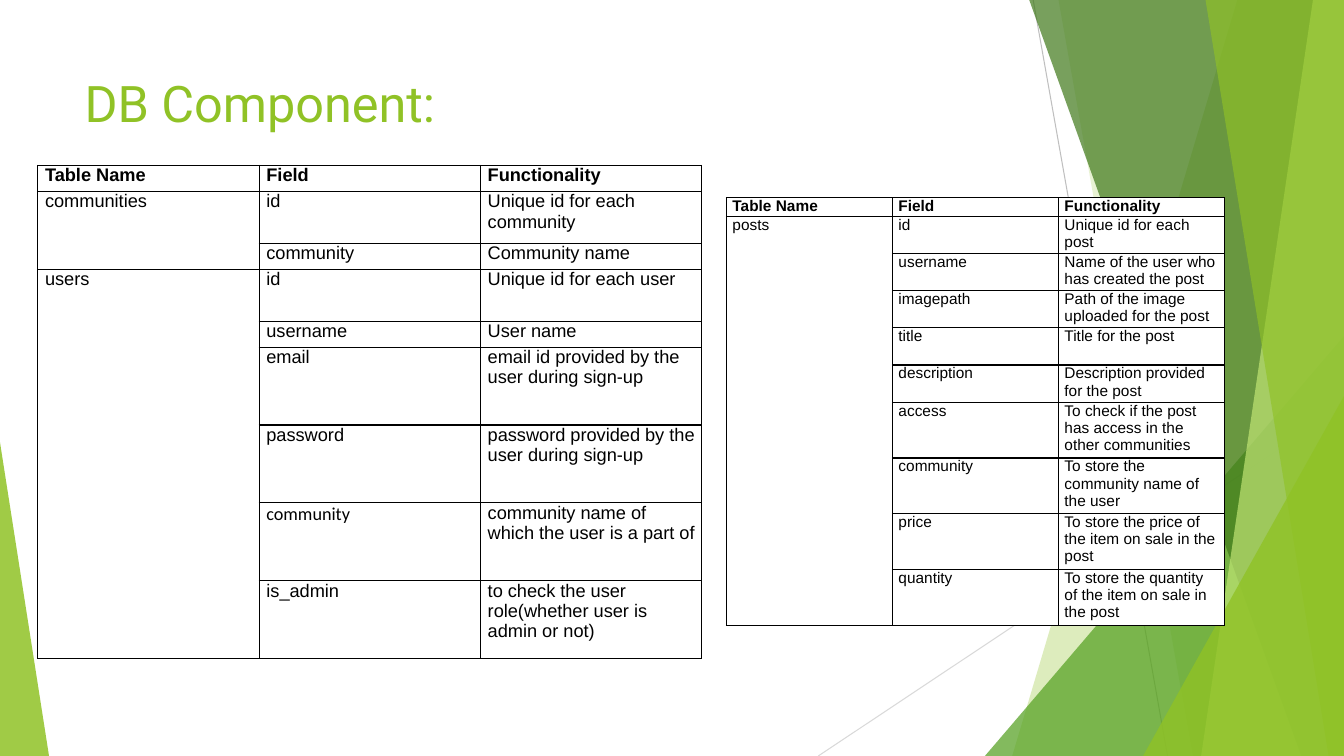
"""Build the DB Component slide with its two database schema tables."""
import pptx
import pptx.dml.color
import pptx.enum.shapes
import pptx.enum.text
import pptx.oxml
import pptx.oxml.ns
import pptx.util

Pt = pptx.util.Pt
qn = pptx.oxml.ns.qn
RGB = pptx.dml.color.RGBColor.from_string
COLORS = {
    "lime": "90C226", "green": "54A021", "forest": "3F7819", "pale": "C0E474",
    "gray": "BFBFBF", "light gray": "D9D9D9", "black": "000000", "white": "FFFFFF",
}
WIDTH, HEIGHT = 960, 540


def write(frame, text, size=13, color="black", font="Arial", bold=False, inset=0, top=0):
    frame.word_wrap = True
    frame.vertical_anchor = pptx.enum.text.MSO_ANCHOR.TOP
    frame.margin_left = frame.margin_right = Pt(inset)
    frame.margin_top = frame.margin_bottom = Pt(top)
    run = frame.paragraphs[0].add_run()
    run.text = text
    run.font.size = Pt(size)
    run.font.name = font
    run.font.bold = bold
    run.font.color.rgb = RGB(COLORS[color])


deck = pptx.Presentation()
deck.slide_width, deck.slide_height = Pt(WIDTH), Pt(HEIGHT)
slide = deck.slides.add_slide(deck.slide_layouts[6])
shapes = slide.shapes

rays = [
    (738, 0, 834, HEIGHT, "gray"),
    (WIDTH, 290, 584.5, HEIGHT, "light gray"),
]
for x1, y1, x2, y2, color in rays:
    ray = shapes.add_connector(
        pptx.enum.shapes.MSO_CONNECTOR.STRAIGHT, Pt(x1), Pt(y1), Pt(x2), Pt(y2))
    ray.line.color.rgb = RGB(COLORS[color])
    ray.line.width = Pt(0.75)
    ray._element.spPr.append(pptx.oxml.parse_xml(
        f'<a:effectLst {pptx.oxml.ns.nsdecls("a")}/>'))

facets = [
    ("band", (884, 723), "lime", 30),
    ("band", (756, 852), "lime", 20),
    ("triangle", (703.5, 240, 256.5, 1), "green", 72),
    ("band", (735, 929.5), "forest", 70),
    ("band", (938, 858), "pale", 70),
    ("band", (861, 949), "lime", 65),
    ("triangle", (816.5, 283, 143.5, 1), "lime", 80),
    ("triangle", (0, 316, 35, 0), "lime", 85),
]
for kind, geometry, color, opacity in facets:
    if kind == "band":
        top_x, bottom_x = geometry
        outline = shapes.build_freeform(Pt(top_x), Pt(-0.6))
        outline.add_line_segments([
            (Pt(WIDTH), Pt(-0.6)), (Pt(WIDTH), Pt(HEIGHT)), (Pt(bottom_x), Pt(HEIGHT))])
        facet = outline.convert_to_shape()
    else:
        left, top, width, apex = geometry
        facet = shapes.add_shape(
            pptx.enum.shapes.MSO_SHAPE.ISOSCELES_TRIANGLE,
            Pt(left), Pt(top), Pt(width), Pt(HEIGHT - top))
        facet.adjustments[0] = apex
    facet.shadow.inherit = False
    facet.line.fill.background()
    facet.fill.solid()
    facet.fill.fore_color.rgb = RGB(COLORS[color])
    tint = facet._element.spPr.find(qn("a:solidFill")).find(qn("a:srgbClr"))
    tint.append(pptx.oxml.parse_xml(
        f'<a:alpha {pptx.oxml.ns.nsdecls("a")} val="{opacity * 1000}"/>'))

title = shapes.add_textbox(Pt(53.3), Pt(48), Pt(677), Pt(104))
write(title.text_frame, "DB Component:", size=36, color="lime", font="Roboto",
      inset=7.2, top=3.6)

header = ("Table Name", "Field", "Functionality", 1)
account_rows = [
    header,
    ("communities", "id", "Unique id for each community", 2),
    ("", "community", "Community name", 1),
    ("users", "id", "Unique id for each user", 2),
    ("", "username", "User name", 1),
    ("", "email", "email id provided by the user during sign-up", 3),
    ("", "password", "password provided by the user during sign-up", 3),
    ("", "community", "community name of which the user is a part of", 3),
    ("", "is_admin", "to check the user role(whether user is admin or not)", 3),
]
post_rows = [
    header,
    ("posts", "id", "Unique id for each post", 2),
    ("", "username", "Name of the user who has created the post", 2),
    ("", "imagepath", "Path of the image uploaded for the post", 2),
    ("", "title", "Title for the post", 2),
    ("", "description", "Description provided for the post", 2),
    ("", "access", "To check if the post has access in the other communities", 3),
    ("", "community", "To store the community name of the user", 3),
    ("", "price", "To store the price of the item on sale in the post", 3),
    ("", "quantity", "To store the quantity of the item on sale in the post", 3),
]
schemas = [
    (account_rows, 27, 118.2, 158.1, 18.54, 13, 5.2, [(1, 2), (3, 8)], (7, 1)),
    (post_rows, 519, 141.2, 118.6, 13.29, 11, 4.2, [(1, 9)], None),
]
for rows, left, top, column_width, line_height, size, inset, merges, calibri_cell in schemas:
    total_height = line_height * sum(row[3] for row in rows)
    table = shapes.add_table(len(rows), 3, Pt(left), Pt(top),
                             Pt(column_width * 3), Pt(total_height)).table
    table.first_row = table.horz_banding = False
    for column in table.columns:
        column.width = Pt(column_width)
    for r, (*texts, lines) in enumerate(rows):
        table.rows[r].height = Pt(line_height * lines)
        for c, text in enumerate(texts):
            cell = table.cell(r, c)
            properties = cell._tc.get_or_add_tcPr()
            for side in "LRTB":
                properties.append(pptx.oxml.parse_xml(
                    f'<a:ln{side} {pptx.oxml.ns.nsdecls("a")} w="12700"><a:solidFill>'
                    f'<a:srgbClr val="{COLORS["black"]}"/></a:solidFill></a:ln{side}>'))
            cell.fill.solid()
            cell.fill.fore_color.rgb = RGB(COLORS["white"])
            cell.margin_left = cell.margin_right = Pt(inset)
            cell.margin_top = cell.margin_bottom = 0
            if text:
                write(cell.text_frame, text, size=size, bold=r == 0, inset=inset,
                      font="Calibri" if (r, c) == calibri_cell else "Arial")
    for first, last in merges:
        table.cell(first, 0).merge(table.cell(last, 0))

deck.save("out.pptx")
